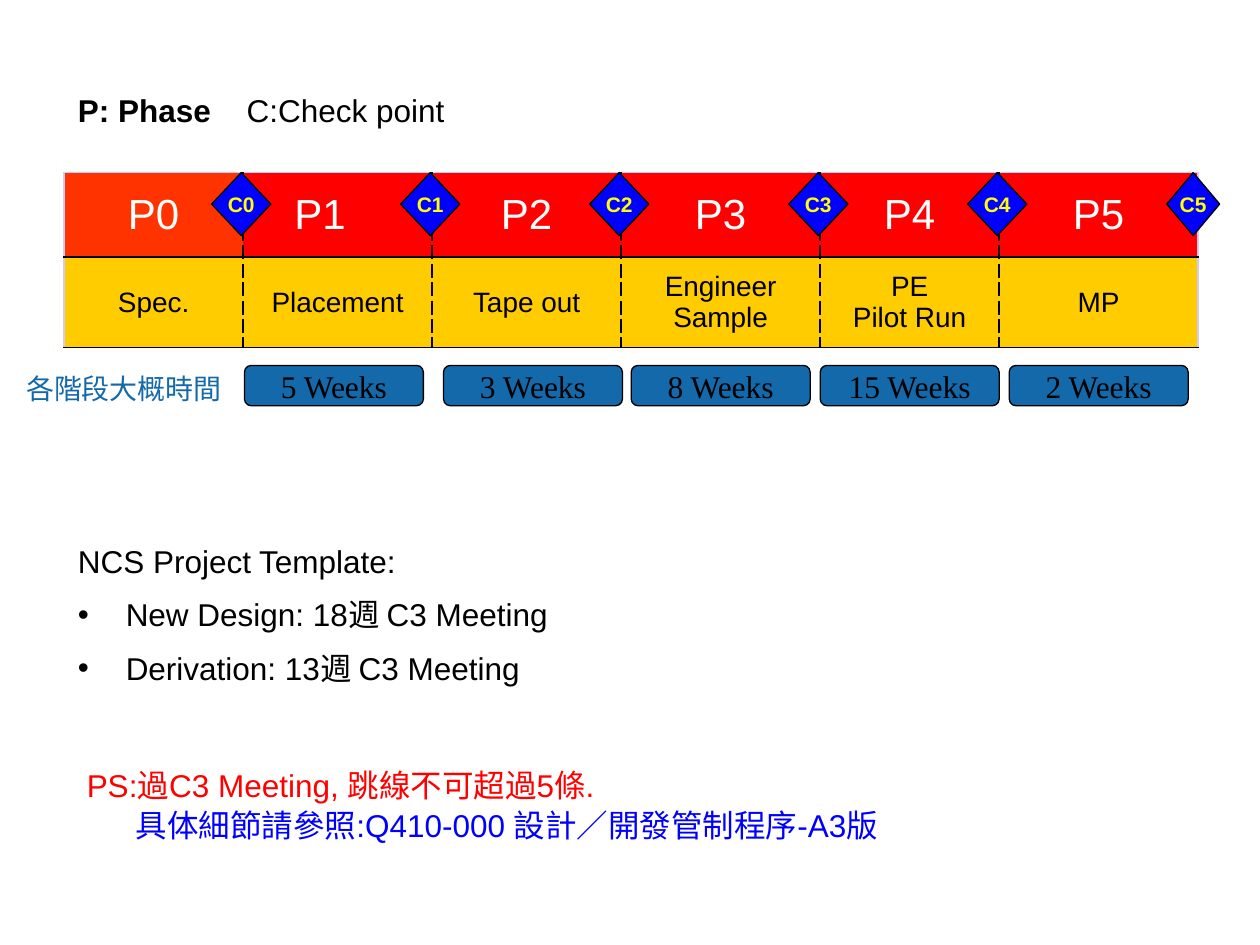
from itertools import accumulate

from lxml.etree import SubElement
from pptx import Presentation
from pptx.dml.color import RGBColor
from pptx.enum.shapes import MSO_SHAPE
from pptx.enum.text import MSO_ANCHOR, PP_ALIGN
from pptx.oxml import parse_xml
from pptx.oxml.ns import nsdecls, qn
from pptx.util import Inches, Pt

BLACK, WHITE, RED, BLUE = "000000", "FFFFFF", "FF0000", "0000FF"
YELLOW, GOLD, ORANGE, STEEL, LILAC = "FFFF00", "FFCC00", "FF3300", "1469AB", "CCCCFF"


def color(value):
    return RGBColor.from_string(value)


def write(frame, text, size=18, font="Arial", ink=BLACK, bold=False,
          align=PP_ALIGN.LEFT, anchor=MSO_ANCHOR.TOP, wrap=True, bullets=False):
    frame.word_wrap = wrap
    frame.vertical_anchor = anchor
    lines = text if isinstance(text, list) else [text]
    for index, line in enumerate(lines):
        paragraph = frame.add_paragraph() if index else frame.paragraphs[0]
        paragraph.text = line
        paragraph.alignment = align
        if index:
            paragraph.space_before = Pt(size / 2)
        if index and bullets:
            properties = paragraph._p.get_or_add_pPr()
            properties.set("marL", str(Inches(0.38)))
            properties.set("indent", str(-Inches(0.38)))
            SubElement(properties, qn("a:buFont")).set("typeface", "Arial")
            SubElement(properties, qn("a:buChar")).set("char", "•")
        for run in paragraph.runs:
            run.font.size = Pt(size)
            run.font.name = font
            run.font.bold = bold
            run.font.color.rgb = color(ink)


class SlideBuilder:
    columns, rows = 100, 75

    def __init__(self, presentation):
        self.slide = presentation.slides.add_slide(presentation.slide_layouts[6])
        self.column = presentation.slide_width / self.columns
        self.row = presentation.slide_height / self.rows

    def place(self, left, top, width, height):
        return (round(left * self.column), round(top * self.row),
                round(width * self.column), round(height * self.row))

    def text(self, area, text, **style):
        box = self.slide.shapes.add_textbox(*self.place(*area))
        write(box.text_frame, text, **style)

    def shape(self, kind, area, text, fill, **style):
        shape = self.slide.shapes.add_shape(kind, *self.place(*area))
        shape.shadow.inherit = False
        shape.fill.solid()
        shape.fill.fore_color.rgb = color(fill)
        shape.line.color.rgb = color(BLACK)
        shape.line.width = Pt(0.75)
        write(shape.text_frame, text, align=PP_ALIGN.CENTER,
              anchor=MSO_ANCHOR.MIDDLE, wrap=False, **style)

    def borders(self, cell, edges):
        properties = cell._tc.get_or_add_tcPr()
        for index, (side, (ink, dash)) in enumerate(edges.items()):
            properties.insert(index, parse_xml(
                f'<a:ln{side} {nsdecls("a")} w="{Pt(1)}"><a:solidFill>'
                f'<a:srgbClr val="{ink}"/></a:solidFill>'
                f'<a:prstDash val="{dash}"/></a:ln{side}>'))

    def table(self, left, top, widths, heights, contents, fills, styles):
        area = self.place(left, top, sum(widths), sum(heights))
        table = self.slide.shapes.add_table(len(heights), len(widths), *area).table
        table.first_row = table.horz_banding = False
        for column, width in zip(table.columns, widths):
            column.width = round(width * self.column)
        for row, height in zip(table.rows, heights):
            row.height = round(height * self.row)
        outer, inner, rule = (LILAC, "solid"), (BLACK, "sysDash"), (BLACK, "solid")
        last = len(widths) - 1
        for i, texts in enumerate(contents):
            for j, text in enumerate(texts):
                cell = table.cell(i, j)
                cell.fill.solid()
                cell.fill.fore_color.rgb = color(fills[i][j])
                cell.vertical_anchor = MSO_ANCHOR.MIDDLE
                write(cell.text_frame, text, align=PP_ALIGN.CENTER,
                      anchor=None, **styles[i])
                self.borders(cell, {"L": inner if j else outer,
                                    "R": inner if j < last else outer,
                                    "T": rule if i else outer, "B": rule})
        return table


def main():
    presentation = Presentation()
    presentation.slide_width, presentation.slide_height = Inches(10), Inches(7.5)
    builder = SlideBuilder(presentation)

    builder.text((1.1, 15.5, 22.4, 30.7), "各階段大概時間", size=16, font="Roboto",
                 ink=STEEL, anchor=MSO_ANCHOR.MIDDLE)

    left, top = 5.1, 13.7
    widths = [14.2, 15, 15, 15.8, 14.2, 15.8]
    phases = [f"P{number}" for number in range(len(widths))]
    stages = ["Spec.", "Placement", "Tape out", "Engineer Sample", "PE\vPilot Run", "MP"]
    table = builder.table(left, top, widths, [6.7, 7.2], [phases, stages],
                          [[ORANGE] + [RED] * 5, [GOLD] * 6],
                          [{"size": 24, "ink": WHITE}, {"size": 16}])
    table.cell(0, 1).margin_right = Inches(0.38)

    for number, edge in enumerate(accumulate(widths)):
        width = 4.2 if number == len(widths) - 1 else 4.7
        builder.shape(MSO_SHAPE.DIAMOND, (left + edge - 2.5, top, width, 5),
                      f"C{number}", BLUE, size=12, ink=YELLOW, bold=True)

    durations = {19.4: 5, 35.2: 3, 50.1: 8, 65.1: 15, 80.1: 2}
    for start, weeks in durations.items():
        builder.shape(MSO_SHAPE.FLOWCHART_ALTERNATE_PROCESS, (start, 29, 14.2, 3.2),
                      f"{weeks} Weeks", STEEL, font="Times New Roman")

    builder.text((5.2, 6.7, 14.1, 4), "P: Phase", bold=True)
    builder.text((18.6, 6.7, 25.1, 4), "C:Check point")
    builder.text((5.2, 42.5, 91.3, 13),
                 ["NCS Project Template:", "New Design: 18週 C3 Meeting",
                  "Derivation: 13週 C3 Meeting"], bullets=True)
    builder.text((5.9, 60.3, 89.8, 4), "PS:過C3 Meeting, 跳線不可超過5條.", ink=RED)
    builder.text((9.8, 63.5, 68.5, 4),
                 "具体細節請參照:Q410-000 設計／開發管制程序-A3版", ink=BLUE)

    presentation.save("out.pptx")


if __name__ == "__main__":
    main()
